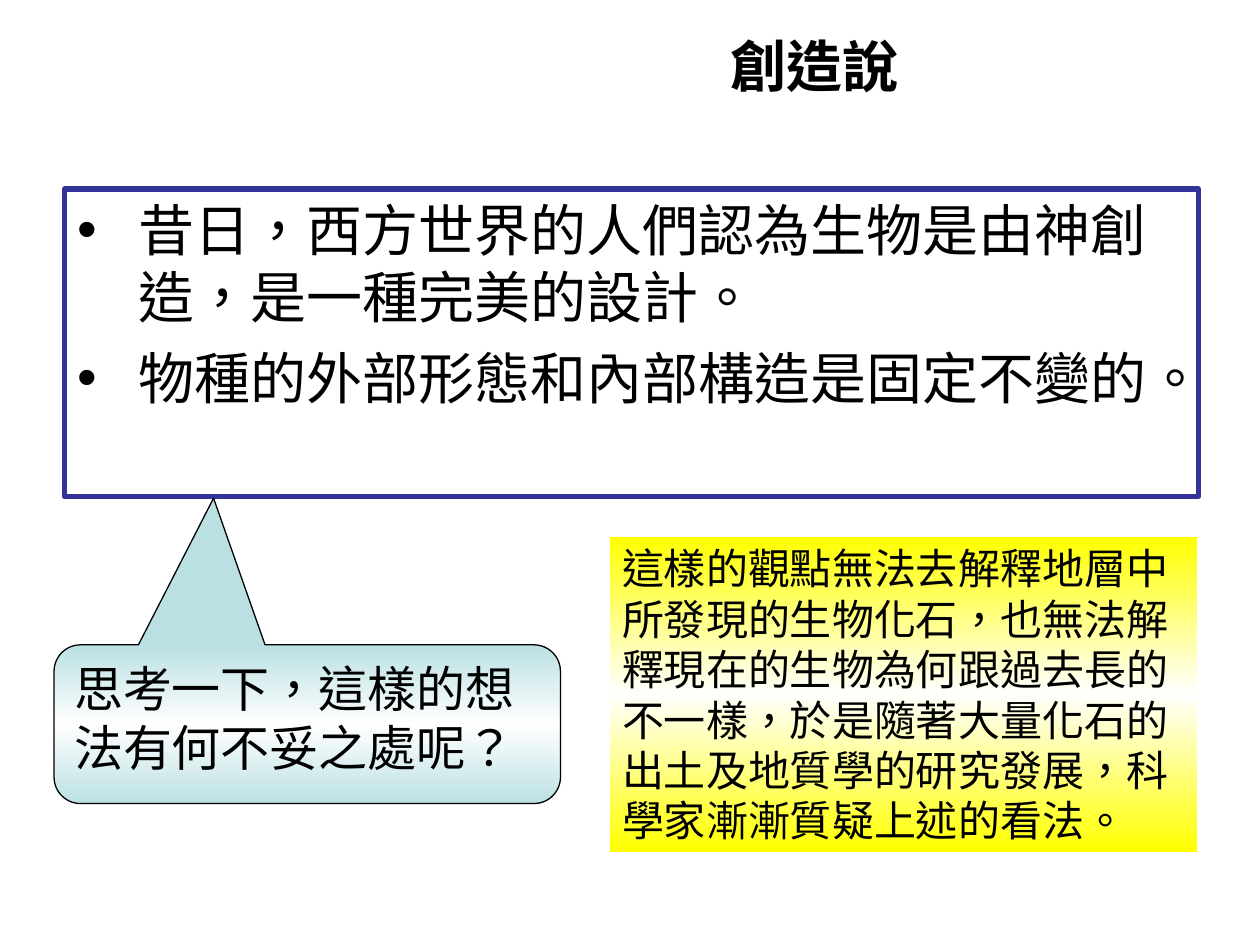
from copy import deepcopy

from pptx import Presentation
from pptx.dml.color import RGBColor
from pptx.enum.shapes import MSO_SHAPE
from pptx.enum.text import MSO_ANCHOR, MSO_AUTO_SIZE, PP_ALIGN
from pptx.oxml.ns import qn
from pptx.oxml.xmlchemy import OxmlElement
from pptx.util import Cm, Pt

RECT = MSO_SHAPE.RECTANGLE
CALLOUT = MSO_SHAPE.ROUNDED_RECTANGULAR_CALLOUT
TOP, MIDDLE = MSO_ANCHOR.TOP, MSO_ANCHOR.MIDDLE
LEFT, CENTER = PP_ALIGN.LEFT, PP_ALIGN.CENTER
NO_FIT, GROW = MSO_AUTO_SIZE.NONE, MSO_AUTO_SIZE.SHAPE_TO_FIT_TEXT
CJK = "Noto Sans CJK SC"


def rgb(color):
    return RGBColor.from_string(color)


def add_run(p, text, size, font, bold=False):
    r = p.add_run()
    r.text = text
    for name, value in {"size": Pt(size), "name": font, "bold": bold}.items():
        setattr(r.font, name, value)
    r.font.color.rgb = rgb("000000")
    rPr = r._r.get_or_add_rPr()
    rPr.set("lang", "zh-TW")
    ea = OxmlElement("a:ea")
    ea.set("typeface", CJK)
    rPr.find(qn("a:latin")).addnext(ea)


prs = Presentation()
prs.slide_width, prs.slide_height = Cm(25.4), Cm(19.05)
s = prs.slides.add_slide(prs.slide_layouts[1])
title, body = s.placeholders

# Title
title.left, title.top, title.width, title.height = Cm(8.71), Cm(0.53), Cm(15.42), Cm(1.55)
tf = title.text_frame
tf.auto_size, tf.vertical_anchor = NO_FIT, MIDDLE
p = tf.paragraphs[0]
p.alignment = CENTER
add_run(p, "創造說", 32, CJK, bold=True)

# Framed list
body.left, body.top, body.width, body.height = Cm(1.3), Cm(3.81), Cm(22.86), Cm(6.2)
body.line.color.rgb = rgb("333399")
body.line.width = Pt(3)
tf = body.text_frame
tf.auto_size, tf.vertical_anchor = NO_FIT, TOP
points = [
    "昔日，西方世界的人們認為生物是由神創造，是一種完美的設計",
    "物種的外部形態和內部構造是固定不變的",
]
for i, text in enumerate(points):
    p = tf.add_paragraph() if i else tf.paragraphs[0]
    p.space_before = Pt(8)
    pPr = p._p.get_or_add_pPr()
    pPr.set("marL", str(Cm(1.24)))
    pPr.set("indent", str(Cm(-1.24)))
    add_run(p, text, 32, CJK)
    add_run(p, "。", 32, "Arial")

# Question callout and answer box, each with a mirrored gradient
boxes = [
    dict(kind=CALLOUT, at=(1.09, 13, 10.21, 3.2), color="BBE0E3", line="000000",
         adj=(-0.185, -1.424, 0.167), size=28, before=0, fit=NO_FIT,
         text="思考一下，這樣的想法有何不妥之處呢？"),
    dict(kind=RECT, at=(12.29, 10.82, 11.84, 6.35), color="FFFF00", line=None,
         adj=(), size=24, before=15, fit=GROW,
         text="這樣的觀點無法去解釋地層中所發現的生物化石，也無法解釋現在的生物為何跟過去長的"
              "不一樣，於是隨著大量化石的出土及地質學的研究發展，科學家漸漸質疑上述的看法。"),
]
for box in boxes:
    sp = s.shapes.add_shape(box["kind"], *map(Cm, box["at"]))
    sp.shadow.inherit = False
    for i, value in enumerate(box["adj"]):
        sp.adjustments[i] = value

    sp.fill.gradient()
    sp.fill.gradient_angle = 90
    stops = sp._element.spPr.find(qn("a:gradFill")).find(qn("a:gsLst"))
    stops.append(deepcopy(stops[0]))
    colors = (box["color"], "FFFFFF", box["color"])
    for i, (stop, color) in enumerate(zip(sp.fill.gradient_stops, colors)):
        stop.position = i / 2
        stop.color.rgb = rgb(color)

    if box["line"]:
        sp.line.color.rgb = rgb(box["line"])
        sp.line.width = Pt(0.75)
    else:
        sp.line.fill.background()

    tf = sp.text_frame
    tf.word_wrap = True
    tf.auto_size, tf.vertical_anchor = box["fit"], TOP
    p = tf.paragraphs[0]
    p.alignment, p.space_before = LEFT, Pt(box["before"])
    add_run(p, box["text"], box["size"], "Times New Roman")

prs.save("out.pptx")
